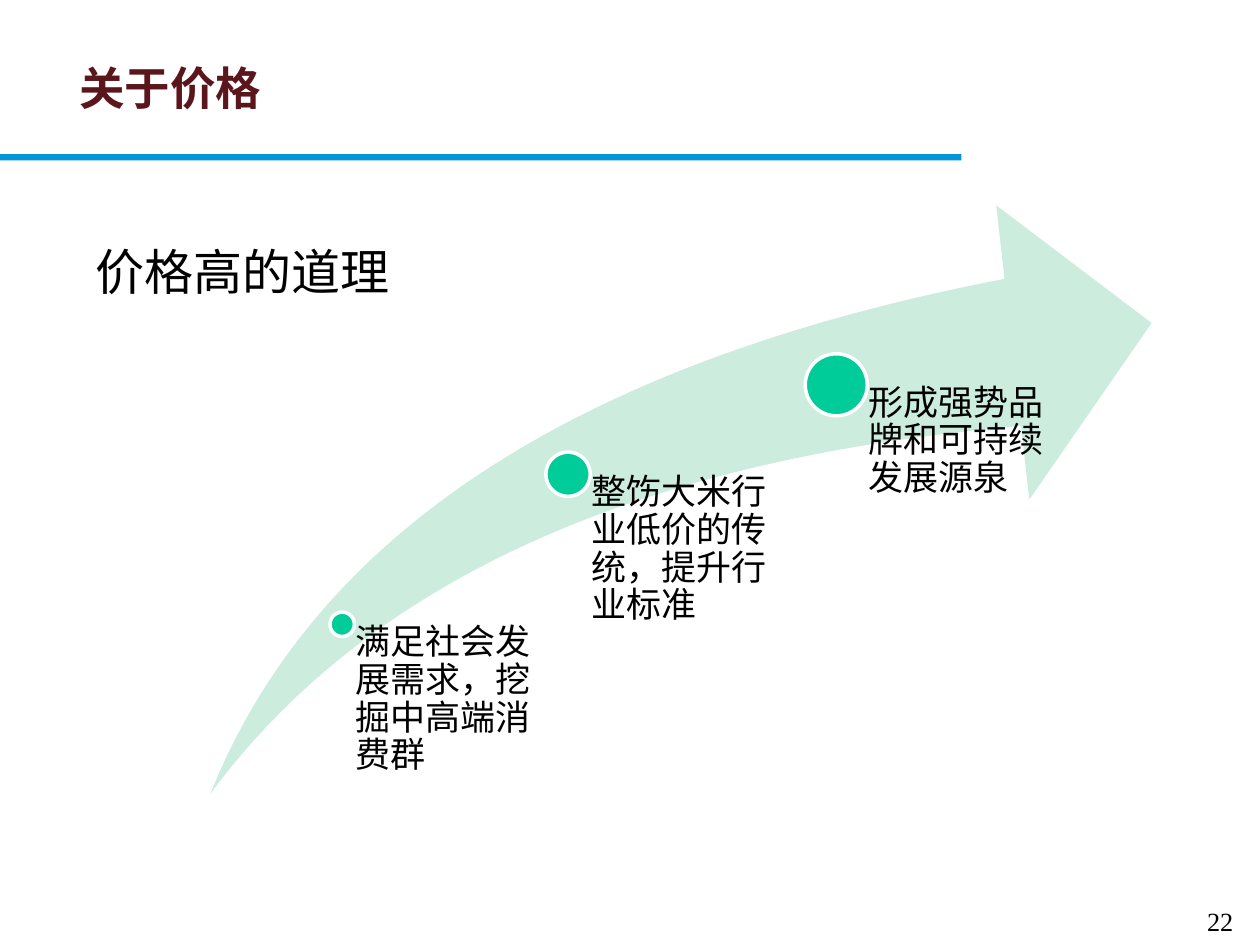
from dataclasses import dataclass

from pptx import Presentation
from pptx.dml.color import RGBColor
from pptx.enum.shapes import MSO_SHAPE
from pptx.util import Inches, Pt

WIDE, HIGH = 10, 7.5


@dataclass(frozen=True)
class Theme:
    font: str = "Times New Roman"
    ink: str = "000000"
    title: str = "5B161B"
    rule: str = "0595D4"
    swoosh: str = "CCECDE"
    dot: str = "00CC99"
    edge: str = "FFFFFF"
    title_size: int = 26
    lead_size: int = 28
    step_size: int = 20
    page_size: int = 15


THEME = Theme()

# Dot centre and size as shares of the arrow box, label width, label
STEPS = [
    (0.14, 0.712, 0.026, 0.233, "满足社会发展需求，挖掘中高端消费群"),
    (0.38, 0.457, 0.047, 0.24, "整饬大米行业低价的传统，提升行业标准"),
    (0.665, 0.305, 0.066, 0.24, "形成强势品牌和可持续发展源泉"),
]


def share(x, y, w, h):
    """Turn shares of the slide into a box in inches."""
    return x * WIDE, y * HIGH, w * WIDE, h * HIGH


def add_text(slide, box, text, size, color=THEME.ink, bold=False,
             pads=(0.1, 0.05, 0.1, 0.05), wrap=True, lines=None):
    frame = slide.shapes.add_textbox(*map(Inches, box)).text_frame
    frame.word_wrap = wrap
    (frame.margin_left, frame.margin_top,
     frame.margin_right, frame.margin_bottom) = map(Inches, pads)
    frame.text = text
    para = frame.paragraphs[0]
    para.line_spacing = lines
    font = para.runs[0].font
    font.name, font.size, font.bold = THEME.font, Pt(size), bold
    font.color.rgb = RGBColor.from_string(color)


def add_form(slide, kind, box, fill, edge=None):
    form = slide.shapes.add_shape(kind, *map(Inches, box))
    form.shadow.inherit = False
    form.fill.solid()
    form.fill.fore_color.rgb = RGBColor.from_string(fill)
    if edge:
        form.line.color.rgb = RGBColor.from_string(edge)
        form.line.width = Pt(2)
    else:
        form.line.fill.background()
    return form


def add_head(slide, box):
    """Title above a rule that starts at the slide's left edge."""
    x, y, w, h = box
    add_form(slide, MSO_SHAPE.RECTANGLE, (0, y + h, 7.63, 0.05), THEME.rule)
    add_text(slide, box, "关于价格", THEME.title_size, THEME.title, True,
             pads=(0.07, 0.03, 0.07, 0.03))


def add_lead(slide, box):
    add_text(slide, box, "价格高的道理", THEME.lead_size,
             pads=(0.29, 0.05, 0.1, 0.05))


def add_steps(slide, box):
    """Rising arrow; each label hangs from the centre of its dot."""
    x, y, w, h = box
    arrow = add_form(slide, MSO_SHAPE.SWOOSH_ARROW, box, THEME.swoosh)
    arrow.adjustments[0] = arrow.adjustments[1] = 0.25
    for across, down, size, span, label in STEPS:
        mid, top, rad = x + across * w, y + down * h, size * w / 2
        add_form(slide, MSO_SHAPE.OVAL,
                 (mid - rad, top - rad, 2 * rad, 2 * rad),
                 THEME.dot, THEME.edge)
        add_text(slide, (mid, top, span * w, y + h - top), label,
                 THEME.step_size, pads=(rad + 0.01, 0, 0, 0), lines=0.9)


def add_page(slide, box):
    add_text(slide, box, "22", THEME.page_size,
             pads=(0.07, 0.04, 0.07, 0.04), wrap=False)


def main():
    deck = Presentation()
    deck.slide_width, deck.slide_height = Inches(WIDE), Inches(HIGH)
    slide = deck.slides.add_slide(deck.slide_layouts[6])
    add_head(slide, share(0.056, 0.06, 0.722, 0.103))
    add_lead(slide, share(0.047, 0.249, 0.914, 0.076))
    add_steps(slide, (1.67, 1.63, 7.47, 4.67))
    add_page(slide, share(0.951, 0.953, 0.04, 0.044))
    deck.save("out.pptx")


if __name__ == "__main__":
    main()
